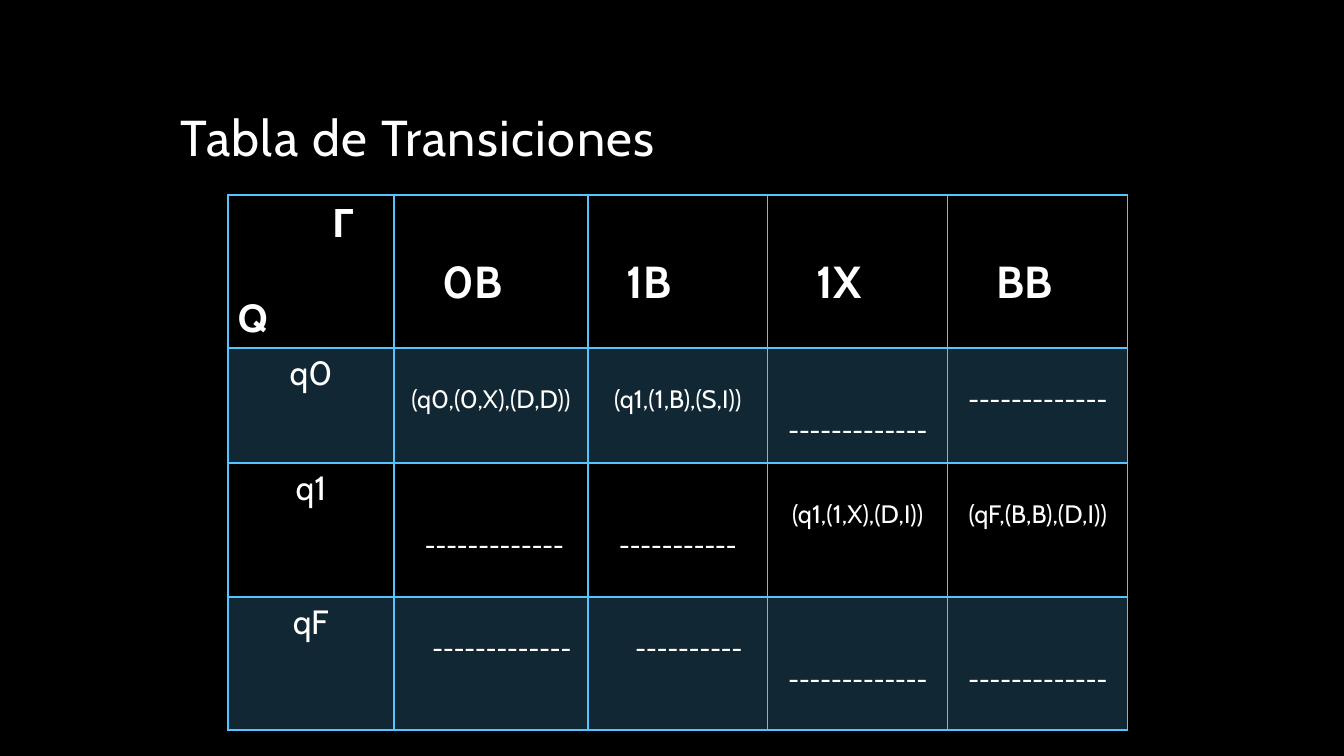
from lxml import etree
from pptx import Presentation
from pptx.dml.color import RGBColor
from pptx.enum.text import MSO_ANCHOR, PP_ALIGN
from pptx.oxml.ns import qn
from pptx.util import Pt

BOTTOM = MSO_ANCHOR.BOTTOM
LEFT, CENTER = PP_ALIGN.LEFT, PP_ALIGN.CENTER
SCALE = 914400 / 100.8
FONT, WHITE, BLACK, SKY = "Cabin", "FFFFFF", "000000", "56C5FF"
INSET, LINE = 10, 31
COLUMNS = [166, 194, 180, 180, 180]
ROWS = [153, 115, 134, 133]
HEADERS = [("0B", 39), ("1B", 29), ("1X", 39), ("BB", 39)]
DASHES = "-" * 13
STATES = [
    ("q0", [("(q0,(0,X),(D,D))", 1, 0), ("(q1,(1,B),(S,I))", 1, 0),
            (DASHES, 2, 0), (DASHES, 1, 0)]),
    ("q1", [(DASHES, 2, 7), ("-" * 11, 2, 0),
            ("(q1,(1,X),(D,I))", 1, 0), ("(qF,(B,B),(D,I))", 1, 0)]),
    ("qF", [(DASHES, 1, 22), ("-" * 10, 1, 22),
            (DASHES, 2, 0), (DASHES, 2, 0)]),
]


def px(length):
    return round(length * SCALE)


def color(value):
    return RGBColor.from_string(value)


class TransitionSlide:
    """Draws the title and the transition table on one slide."""

    def __init__(self, deck):
        self.slide = deck.slides.add_slide(deck.slide_layouts[6])
        background = self.slide.background.fill
        background.solid()
        background.fore_color.rgb = color(BLACK)

    def style(self, paragraph, size, bold=False, align=LEFT):
        paragraph.alignment = align
        font = paragraph.font
        font.name, font.size, font.bold = FONT, Pt(size), bold
        font.color.rgb = color(WHITE)

    def title(self, text, left, top, width, height):
        box = self.slide.shapes.add_textbox(px(left), px(top), px(width), px(height))
        frame = box.text_frame
        frame.word_wrap = True
        frame.vertical_anchor = BOTTOM
        paragraph = frame.paragraphs[0]
        paragraph.line_spacing = 0.9
        span = paragraph.add_run()
        span.text = text
        span.font._element.set("spc", "100")
        self.style(paragraph, 36)

    def table(self, left, top):
        frame = self.slide.shapes.add_table(
            len(ROWS), len(COLUMNS), px(left), px(top), px(sum(COLUMNS)), px(sum(ROWS)))
        table = frame.table
        table.first_row = table.horz_banding = False
        for column, width in zip(table.columns, COLUMNS):
            column.width = px(width)
        for row, height in zip(table.rows, ROWS):
            row.height = px(height)
        for index, row in enumerate(table.rows):
            for cell in row.cells:
                self.borders(cell, 2 if index == 1 else 1, 2 if index == 0 else 1)
                self.shade(cell, index % 2 == 1)
        return table

    def borders(self, cell, top, bottom):
        properties = cell._tc.get_or_add_tcPr()
        for side, width in zip("LRTB", (1, 1, top, bottom)):
            line = etree.SubElement(properties, qn(f"a:ln{side}"), w=str(Pt(width)))
            fill = etree.SubElement(line, qn("a:solidFill"))
            etree.SubElement(fill, qn("a:srgbClr"), val=SKY)

    def shade(self, cell, shaded):
        if not shaded:
            cell.fill.background()
            return
        cell.fill.solid()
        cell.fill.fore_color.rgb = color(SKY)
        tint = cell._tc.tcPr.find(qn("a:solidFill")).find(qn("a:srgbClr"))
        etree.SubElement(tint, qn("a:alpha"), val="20000")

    def entry(self, cell, text, size, offset=0, shift=0, bold=False, align=CENTER):
        cell.margin_left = px(INSET + shift)
        cell.margin_top = px(INSET // 2 + offset)
        cell.text = text
        for paragraph in cell.text_frame.paragraphs:
            self.style(paragraph, size, bold, align)

    def corner(self, cell, symbols, states):
        self.entry(cell, f"{symbols}\n{states}", 28, bold=True, align=LEFT)
        first, second = cell.text_frame.paragraphs
        first._p.get_or_add_pPr().set("marL", str(px(94)))
        second.space_before = Pt(34)


def main():
    deck = Presentation()
    deck.slide_width, deck.slide_height = px(1344), px(756)
    page = TransitionSlide(deck)
    page.title("Tabla de Transiciones", 171, 21, 1008, 151)
    table = page.table(228, 195)
    page.corner(table.cell(0, 0), "Γ", "Q")
    for column, (text, shift) in enumerate(HEADERS, 1):
        page.entry(table.cell(0, column), text, 32, 55, shift, True, LEFT)
    for row, (state, moves) in enumerate(STATES, 1):
        page.entry(table.cell(row, 0), state, 24)
        for column, (text, lines, shift) in enumerate(moves, 1):
            page.entry(table.cell(row, column), text, 18, lines * LINE, shift)
    deck.save("out.pptx")


if __name__ == "__main__":
    main()
